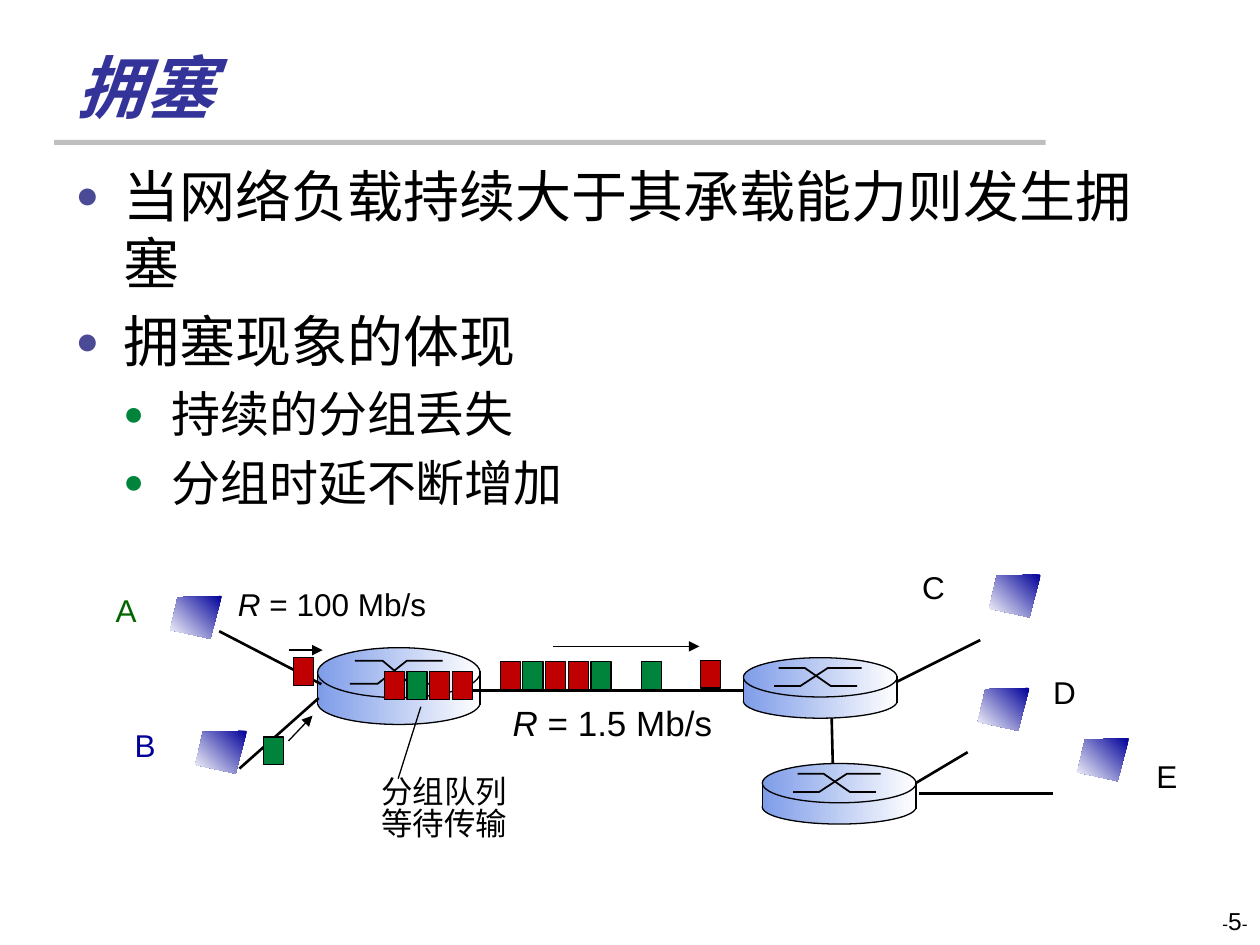
import pptx
import pptx.dml.color
import pptx.enum.shapes
import pptx.enum.text
import pptx.oxml
import pptx.oxml.ns
import pptx.util

Inches = pptx.util.Inches
Pt = pptx.util.Pt
RGBColor = pptx.dml.color.RGBColor
Shape = pptx.enum.shapes.MSO_SHAPE
Align = pptx.enum.text.PP_ALIGN

BLACK = RGBColor(0, 0, 0)
WHITE = RGBColor(255, 255, 255)
GRAY = RGBColor(0xBF, 0xBF, 0xBF)
INDIGO = RGBColor(0x33, 0x33, 0x99)
BULLET_BLUE = RGBColor(0x4A, 0x4A, 0x97)
GREEN = RGBColor(0x00, 0x84, 0x3C)
RED = RGBColor(0xC0, 0, 0)
DARK_GREEN = RGBColor(0, 0x66, 0)
NAVY = RGBColor(0, 0, 0x99)
ROUTER_BLUE = RGBColor(0x7E, 0x9C, 0xE8)
PACKET_COLORS = {"R": RED, "G": GREEN}
PACKET_STEP = 0.18


def add_span(para, text, size=18, font="Arial", color=BLACK, bold=False, italic=False):
    """Append formatted text to a paragraph."""
    span = para.add_run()
    span.text = text
    span.font.name = font
    span.font.size = Pt(size)
    span.font.color.rgb = color
    span.font.bold = bold
    span.font.italic = italic


def add_label(page, place, lines, wrap=False, align=Align.LEFT, spacing=None):
    """Add a text box whose lines are lists of (text, format) pairs."""
    box = page.shapes.add_textbox(*map(Inches, place))
    frame = box.text_frame
    frame.word_wrap = wrap
    for index, line in enumerate(lines):
        para = frame.add_paragraph() if index else frame.paragraphs[0]
        para.alignment = align
        para.line_spacing = spacing
        for text, look in line:
            add_span(para, text, **look)


def place_holder(holder, place, anchor):
    """Move a placeholder and return its text frame."""
    holder.left, holder.top, holder.width, holder.height = map(Inches, place)
    frame = holder.text_frame
    frame.auto_size = pptx.enum.text.MSO_AUTO_SIZE.NONE
    frame.vertical_anchor = anchor
    return frame


def add_bullet(para, text, level, first):
    """Turn a paragraph into a bulleted list item."""
    size, color = ((32, BULLET_BLUE), (28, GREEN))[level]
    para.level = level
    properties = para._p.get_or_add_pPr()
    properties.set("marL", str(Inches(0.38 * (level + 1))))
    properties.set("indent", str(-Inches(0.38)))
    namespace = pptx.oxml.ns.nsdecls("a")
    for element in (
        f'<a:buClr {namespace}><a:srgbClr val="{color}"/></a:buClr>',
        f'<a:buSzPct {namespace} val="70000"/>',
        f'<a:buFont {namespace} typeface="Arial"/>',
        f'<a:buChar {namespace} char="●"/>',
    ):
        properties.append(pptx.oxml.parse_xml(element))
    para.space_before = Pt(0 if first else size * 0.2)
    add_span(para, text, size=size, font="Calibri")


def add_link(shapes, start, end, weight=0.75, arrow=False):
    """Draw a black line, with an arrowhead at its end if asked."""
    link = shapes.add_connector(
        pptx.enum.shapes.MSO_CONNECTOR.STRAIGHT, *map(Inches, (*start, *end)))
    link.line.color.rgb = BLACK
    link.line.width = Pt(weight)
    namespace = pptx.oxml.ns.nsdecls("a")
    if arrow:
        link.line._get_or_add_ln().append(
            pptx.oxml.parse_xml(f'<a:tailEnd {namespace} type="triangle"/>'))
    link._element.spPr.append(pptx.oxml.parse_xml(f"<a:effectLst {namespace}/>"))


def paint(shape, colors=(), angle=0, weight=0):
    """Give a shape no fill, a plain fill or a gradient, and a black line or none."""
    shape.shadow.inherit = False
    if len(colors) == 2:
        shape.fill.gradient()
        shape.fill.gradient_angle = angle
        for stop, color in zip(shape.fill.gradient_stops, colors):
            stop.color.rgb = color
    elif colors:
        shape.fill.solid()
        shape.fill.fore_color.rgb = colors[0]
    else:
        shape.fill.background()
    if weight:
        shape.line.color.rgb = BLACK
        shape.line.width = Pt(weight)
    else:
        shape.line.fill.background()


def add_preset(shapes, kind, place, colors, weight=0):
    """Add a painted preset shape."""
    paint(shapes.add_shape(kind, *map(Inches, place)), colors, weight=weight)


def add_outline(shapes, points, close, **look):
    """Add a painted freeform through the given points."""
    corners = [(Inches(x), Inches(y)) for x, y in points]
    builder = shapes.build_freeform(*corners[0])
    builder.add_line_segments(corners[1:], close=close)
    paint(builder.convert_to_shape(), **look)


def add_router(page, left, top, width, height):
    """Draw a router as a cylinder with crossed paths on its lid."""
    shapes = page.shapes.add_group_shape().shapes
    colors = (ROUTER_BLUE, WHITE)
    for kind, offset, share, weight in (
        (Shape.OVAL, 0.44, 0.56, 0.75),
        (Shape.RECTANGLE, 0.38, 0.35, 0),
        (Shape.OVAL, 0, 0.65, 0.75),
    ):
        place = (left, top + offset * height, width, share * height)
        add_preset(shapes, kind, place, colors, weight)
    high, low = 0.17, 0.47
    for across, down in (
        ((0.2, 0.37, 0.55, 0.77), (low, low, high, high)),
        ((0.23, 0.4, 0.57, 0.74), (high, high, low, low)),
    ):
        points = [(left + x * width, top + y * height) for x, y in zip(across, down)]
        add_outline(shapes, points, False, weight=1)
    for x in (left, left + width):
        add_link(shapes, (x, top + 0.31 * height), (x, top + 0.75 * height))


def add_terminal(page, left, top):
    """Draw a host as a tilted blue screen."""
    corners = ((0.41, 0), (0.06, 0.01), (0, 0.27), (0.32, 0.34))
    points = [(left + x, top + y) for x, y in corners]
    add_outline(page.shapes, points, True, colors=(NAVY, WHITE), angle=225)


def add_packets(shapes, left, top, pattern):
    """Draw a row of packets, one for each letter of the pattern."""
    for index, letter in enumerate(pattern):
        place = (left + index * PACKET_STEP, top, 0.16, 0.22)
        add_preset(shapes, Shape.RECTANGLE, place, (PACKET_COLORS[letter],), 0.75)


def add_text(page):
    """Fill in the title, its rule, the list and the page number."""
    anchors = pptx.enum.text.MSO_ANCHOR
    add_preset(page.shapes, Shape.RECTANGLE, (0.43, 1.11, 7.87, 0.04), (GRAY,))
    small, large = {"size": 10}, {"size": 14}
    add_label(page, (7.67, 7.14, 2.33, 0.5), [[("-", small), ("5", large), ("-", small)]],
              wrap=True, align=Align.RIGHT)
    title = place_holder(page.shapes.title, (0.51, 0.28, 8.25, 0.78), anchors.BOTTOM)
    title.paragraphs[0].alignment = Align.LEFT
    add_span(title.paragraphs[0], "拥塞", size=39, font="Calibri", color=INDIGO,
             bold=True, italic=True)
    body = place_holder(page.placeholders[1], (0.5, 1.23, 9, 3.04), anchors.TOP)
    items = (("当网络负载持续大于其承载能力则发生拥塞", 0), ("拥塞现象的体现", 0),
             ("持续的分组丢失", 1), ("分组时延不断增加", 1))
    for index, (text, level) in enumerate(items):
        para = body.add_paragraph() if index else body.paragraphs[0]
        add_bullet(para, text, level, index == 0)


def add_network(page):
    """Draw hosts, routers, links, packets and their labels."""
    add_router(page, 2.52, 5.14, 1.29, 0.61)
    for start, end in (
        ((1.74, 5.01), (2.55, 5.43)), ((1.9, 6.1), (2.53, 5.54)),
        ((3.75, 5.48), (5.96, 5.48)), ((6.61, 6.08), (6.6, 5.68)),
        ((7.12, 5.41), (7.78, 5.08)), ((7.29, 6.3), (8.36, 6.3)),
        ((7.68, 5.97), (7.26, 6.22)),
    ):
        add_link(page.shapes, start, end, weight=1.5)
    for left, top, pattern in ((3.97, 5.25, "RGRRG"), (5.09, 5.25, "G"), (5.56, 5.24, "R"),
                               (2.33, 5.22, "R"), (2.09, 5.85, "G")):
        add_packets(page.shapes, left, top, pattern)
    add_packets(page.shapes.add_group_shape().shapes, 3.05, 5.33, "RGRR")
    for start, end in (((2.29, 5.16), (2.56, 5.16)), ((2.29, 5.88), (2.48, 5.68)),
                       ((4.39, 5.13), (5.55, 5.13))):
        add_link(page.shapes, start, end, arrow=True)
    for name, left, top, color in (
        ("A", 0.82, 4.64, DARK_GREEN), ("B", 0.97, 5.71, NAVY), ("C", 7.22, 4.46, BLACK),
        ("D", 8.26, 5.29, BLACK), ("E", 9.08, 5.96, BLACK),
    ):
        add_label(page, (left, top, 0.43, 0.5), [[(name, {"color": color})]])
    for place, rate, size in (((1.79, 4.59, 1.71, 0.4), " = 100 Mb/s", 18),
                              ((3.97, 5.52, 1.8, 0.44), " = 1.5 Mb/s", 20)):
        add_label(page, place, [[("R", {"size": size, "italic": True}), (rate, {"size": size})]])
    add_label(page, (2.24, 6.12, 2.57, 0.62), [[("分组队列", {})], [("等待传输", {})]],
              wrap=True, align=Align.CENTER, spacing=0.85)
    add_link(page.shapes, (3.16, 6.18), (3.34, 5.61))
    for left, top in ((7.76, 5.46), (1.35, 4.73), (1.55, 5.8), (8.55, 5.86), (7.85, 4.56)):
        add_terminal(page, left, top)
    for left, top in ((5.9, 5.22), (6.05, 6.06)):
        add_router(page, left, top, 1.22, 0.48)


def main():
    """Build and save the slide."""
    deck = pptx.Presentation()
    deck.slide_width, deck.slide_height = Inches(10), Inches(7.5)
    page = deck.slides.add_slide(deck.slide_layouts[1])
    add_text(page)
    add_network(page)
    deck.save("out.pptx")


if __name__ == "__main__":
    main()
